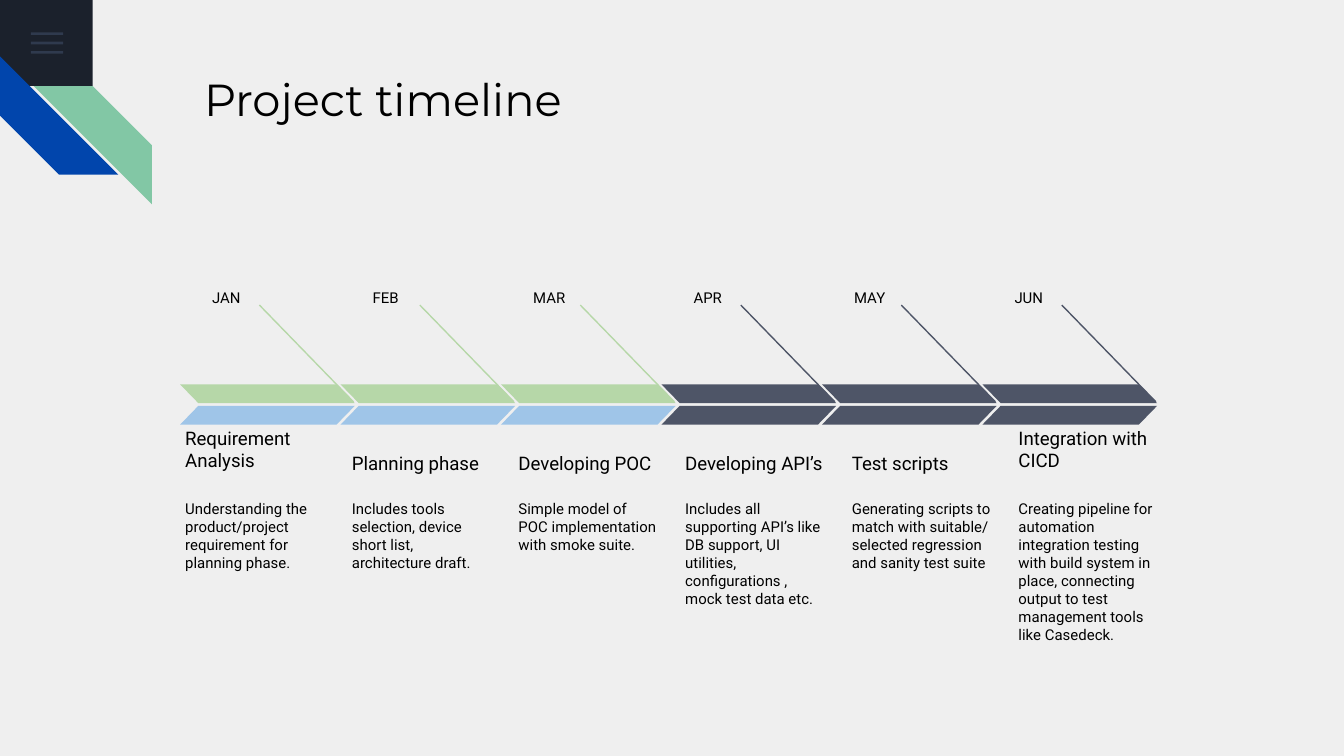
from collections import namedtuple
from dataclasses import dataclass

from lxml import etree
from pptx import Presentation
from pptx.dml.color import RGBColor
from pptx.enum import shapes, text
from pptx.oxml import ns
from pptx.util import Inches, Pt

WIDTH = Inches(10)
HEIGHT = WIDTH * 9 // 16
CELL = WIDTH / 100

Box = namedtuple("Box", "x y w h")


@dataclass(frozen=True)
class Theme:
    background: str = "EFEFEF"
    ink: str = "000000"
    corner: str = "1B212C"
    menu: str = "55688B"
    blue: str = "0145AC"
    teal: str = "82C7A5"
    green: str = "B6D7A8"
    sky: str = "9FC5E8"
    slate: str = "4E5567"
    title_font: str = "Montserrat"
    body_font: str = "Roboto"
    title_size: int = 24
    heading_size: int = 10
    body_size: int = 8
    line_width: float = 0.75


THEME = Theme()

PHASES = [
    ("JAN", "Requirement Analysis",
     "Understanding the product/project requirement for planning phase."),
    ("FEB", "Planning phase",
     "Includes tools selection, device short list, architecture draft."),
    ("MAR", "Developing POC",
     "Simple model of POC implementation with smoke suite."),
    ("APR", "Developing API’s",
     "Includes all supporting API’s like DB support, UI utilities, "
     "configurations , mock test data etc."),
    ("MAY", "Test scripts",
     "Generating scripts to match with suitable/ selected regression "
     "and sanity test suite"),
    ("JUN", "Integration with CICD",
     "Creating pipeline for automation integration testing with build system "
     "in place, connecting output to test management tools like Casedeck."),
]
FINISHED = 3


def cells(*values):
    return [round(v * CELL) for v in values]


def add_text(slide, box, content, size=THEME.body_size, font=THEME.body_font,
             anchor=text.MSO_ANCHOR.TOP, after=0):
    tf = slide.shapes.add_textbox(*cells(*box)).text_frame
    tf.word_wrap = True
    tf.vertical_anchor = anchor
    tf.margin_left, tf.margin_right, tf.margin_top, tf.margin_bottom = cells(1, 1, 1, 1)
    p = tf.paragraphs[0]
    p.space_after = Pt(after)
    r = p.add_run()
    r.text = content
    r.font.name = font
    r.font.size = Pt(size)
    r.font.color.rgb = RGBColor.from_string(THEME.ink)


def add_block(slide, kind, box, color, adjust=None, flip=False, rotation=0, alpha=None):
    sp = slide.shapes.add_shape(kind, *cells(*box))
    sp.shadow.inherit = False
    sp.fill.solid()
    sp.fill.fore_color.rgb = RGBColor.from_string(color)
    sp.line.fill.background()
    sp.rotation = rotation
    if adjust is not None:
        sp.adjustments[0] = adjust
    if flip:
        sp._element.spPr.find(ns.qn("a:xfrm")).set("flipH", "1")
    if alpha is not None:
        clr = sp._element.spPr.find(".//" + ns.qn("a:srgbClr"))
        etree.SubElement(clr, ns.qn("a:alpha"), val=str(alpha * 1000))


def add_leader(slide, start, end, color):
    line = slide.shapes.add_connector(
        shapes.MSO_CONNECTOR.STRAIGHT, *cells(*start, *end))
    line.line.color.rgb = RGBColor.from_string(color)
    line.line.width = Pt(THEME.line_width)
    etree.SubElement(line._element.spPr, ns.qn("a:effectLst"))


def draw_corner(slide, box):
    rect = shapes.MSO_SHAPE.RECTANGLE
    stripe = shapes.MSO_SHAPE.DIAGONAL_STRIPE
    side = 8.8
    add_block(slide, rect, box, THEME.corner)
    for i in range(3):
        bar = Box(box.x + box.w / 3, box.y + 2.4 + 0.7 * i, 2.4, 0.2)
        add_block(slide, rect, bar, THEME.menu, alpha=36)
    add_block(slide, stripe, Box(box.x, box.y + 4.2, side, side),
              THEME.blue, adjust=0.5, rotation=270)
    add_block(slide, stripe, Box(box.x + 2.5, box.y + box.h, side, side),
              THEME.teal, adjust=0.5, flip=True)


def draw_phase_text(slide, box):
    column = box.w / len(PHASES)
    heading = 4.4
    for i, (_, name, detail) in enumerate(PHASES):
        x = box.x + i * column
        add_text(slide, Box(x, box.y, column, heading), name,
                 size=THEME.heading_size, anchor=text.MSO_ANCHOR.BOTTOM)
        add_text(slide, Box(x, box.y + heading + 0.1, column, box.h - heading - 0.1),
                 detail, after=16)


def draw_track(slide, box):
    arrow, band, label = 13, 1.4, 2.3
    pitch = (box.w - arrow) / (len(PHASES) - 1)
    upper = box.y + 7.8
    lower = box.y + box.h - band
    slant = shapes.MSO_SHAPE.PARALLELOGRAM
    for i, (month, _, _) in enumerate(PHASES):
        x = box.x + i * pitch
        done = i < FINISHED
        top_color = THEME.green if done else THEME.slate
        low_color = THEME.sky if done else THEME.slate
        add_text(slide, Box(x + 1.4, box.y, 5.9, label), month)
        add_leader(slide, (x + 5.9, box.y + 1.9), (x + 12.9, box.y + 9.1), top_color)
        add_block(slide, slant, Box(x, upper, arrow, band), top_color,
                  adjust=0.97, flip=True)
        add_block(slide, slant, Box(x, lower, arrow, band), low_color, adjust=0.97)


def main():
    prs = Presentation()
    prs.slide_width, prs.slide_height = WIDTH, HEIGHT
    slide = prs.slides.add_slide(prs.slide_layouts[6])
    slide.background.fill.solid()
    slide.background.fill.fore_color.rgb = RGBColor.from_string(THEME.background)
    draw_corner(slide, Box(0, 0, 6.9, 6.4))
    add_text(slide, Box(14.2, 4.3, 77, 6.1), "Project timeline",
             size=THEME.title_size, font=THEME.title_font)
    draw_phase_text(slide, Box(12.8, 31.7, 74.4, 11.8))
    draw_track(slide, Box(13.4, 20.8, 72.7, 10.8))
    prs.save("out.pptx")


if __name__ == "__main__":
    main()
